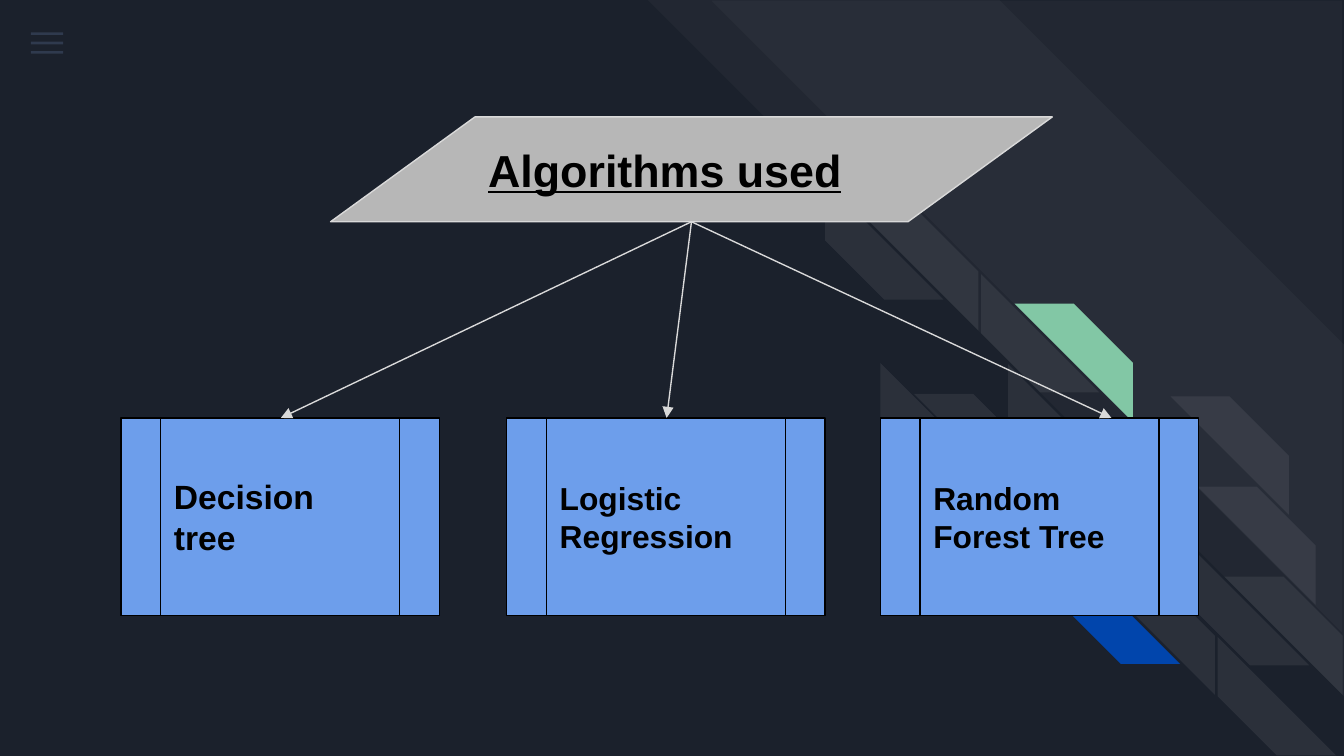
from typing import NamedTuple

from lxml.etree import SubElement
from pptx import Presentation
from pptx.dml.color import RGBColor
from pptx.enum.shapes import MSO_CONNECTOR, MSO_SHAPE
from pptx.enum.text import MSO_ANCHOR, PP_ALIGN
from pptx.oxml.ns import qn
from pptx.util import Inches, Pt

NAVY = RGBColor(0x1B, 0x21, 0x2C)
SLATE = RGBColor(0x55, 0x68, 0x8B)
WHITE = RGBColor(0xFF, 0xFF, 0xFF)
BLACK = RGBColor(0x00, 0x00, 0x00)
GREEN = RGBColor(0x82, 0xC7, 0xA5)
BLUE = RGBColor(0x01, 0x45, 0xAC)
SKY = RGBColor(0x6D, 0x9E, 0xEB)
GRAY = RGBColor(0xB7, 0xB7, 0xB7)
SILVER = RGBColor(0xD9, 0xD9, 0xD9)


class Stripe(NamedTuple):
    left: float
    top: float
    rotation: int = 0
    color: RGBColor = WHITE
    alpha: int = 7
    width: float = 0.88
    height: float = 0.88
    adjustment: float = 0.5


class Box(NamedTuple):
    left: float
    top: float
    width: float
    height: float
    kind: MSO_SHAPE
    fill: RGBColor
    line: RGBColor
    lines: tuple[str, ...]
    size: int
    underline: bool = False


class Algorithm(NamedTuple):
    left: float
    lines: tuple[str, ...]
    size: int
    arrow_x: float


STRIPES = [
    Stripe(4.82, 0, 90, alpha=3, width=5.18, height=5.18, adjustment=0.495),
    Stripe(5.29, 0.01, 90, alpha=3, width=4.7, height=4.69, adjustment=0),
    Stripe(6.14, 1.35, 270),
    Stripe(6.4, 1.58),
    Stripe(6.55, 2.7, 270),
    Stripe(6.8, 2.93),
    Stripe(7.3, 2.04, 270),
    Stripe(7.55, 2.26, color=GREEN, alpha=100),
    Stripe(7.5, 2.71, 270),
    Stripe(8.71, 2.95),
    Stripe(8.91, 3.62),
    Stripe(7.71, 3.39, 270),
    Stripe(7.96, 3.61),
    Stripe(7.9, 4.06, 270, BLUE, 100),
    Stripe(8.16, 4.29),
    Stripe(8.86, 4.07, 270),
    Stripe(9.11, 4.29),
    Stripe(9.06, 4.74, 270),
]
ALGORITHMS = [
    Algorithm(0.9, ("Decision", "tree"), 18, 2.09),
    Algorithm(3.77, ("Logistic Regression",), 17, 4.96),
    Algorithm(6.55, ("Random Forest Tree",), 17, 8.27),
]
TITLE = Box(2.46, 0.87, 5.37, 0.78, MSO_SHAPE.FLOWCHART_DATA, GRAY, SILVER,
            ("Algorithms used",), 24, True)
BOX_TOP = 3.11


def add_filled(s, kind, left: float, top: float, width: float, height: float,
               color: RGBColor, alpha: int = 100):
    sp = s.shapes.add_shape(kind, Inches(left), Inches(top), Inches(width), Inches(height))
    sp.shadow.inherit = False
    sp.fill.solid()
    sp.fill.fore_color.rgb = color
    sp.line.fill.background()
    if alpha < 100:
        clr = sp._element.spPr.find(f"{qn('a:solidFill')}/{qn('a:srgbClr')}")
        SubElement(clr, qn("a:alpha")).set("val", str(alpha * 1000))
    return sp


def add_stripe(s, stripe: Stripe) -> None:
    sp = add_filled(s, MSO_SHAPE.DIAGONAL_STRIPE, stripe.left, stripe.top,
                    stripe.width, stripe.height, stripe.color, stripe.alpha)
    sp.adjustments[0] = stripe.adjustment
    if stripe.rotation:
        sp.rotation = stripe.rotation
    else:
        sp._element.spPr.find(qn("a:xfrm")).set("flipH", "1")


def add_box(s, box: Box) -> None:
    sp = add_filled(s, box.kind, box.left, box.top, box.width, box.height, box.fill)
    sp.line.color.rgb = box.line
    sp.line.width = Pt(0.75)
    tf = sp.text_frame
    tf.word_wrap = True
    tf.vertical_anchor = MSO_ANCHOR.MIDDLE
    tf.margin_left = tf.margin_right = tf.margin_top = tf.margin_bottom = Inches(0.1)
    for i, text in enumerate(box.lines):
        p = tf.add_paragraph() if i else tf.paragraphs[0]
        p.alignment = PP_ALIGN.LEFT
        r = p.add_run()
        r.text = text
        r.font.name = "Arial"
        r.font.size = Pt(box.size)
        r.font.bold = True
        r.font.underline = box.underline
        r.font.color.rgb = BLACK


def add_arrow(s, x1: float, y1: float, x2: float, y2: float) -> None:
    c = s.shapes.add_connector(MSO_CONNECTOR.STRAIGHT, Inches(x1), Inches(y1),
                               Inches(x2), Inches(y2))
    c.line.color.rgb = SILVER
    c.line.width = Pt(0.75)
    SubElement(c.line._get_or_add_ln(), qn("a:tailEnd")).set("type", "triangle")
    SubElement(c._element.spPr, qn("a:effectLst"))


def main() -> None:
    prs = Presentation()
    prs.slide_width = Inches(10)
    prs.slide_height = Inches(10 * 9 / 16)
    s = prs.slides.add_slide(prs.slide_layouts[6])
    s.background.fill.solid()
    s.background.fill.fore_color.rgb = NAVY

    for i in range(3):
        add_filled(s, MSO_SHAPE.RECTANGLE, 0.23, 0.24 + 0.07 * i, 0.24, 0.02, SLATE, 36)
    for stripe in STRIPES:
        add_stripe(s, stripe)

    add_box(s, TITLE)
    for a in ALGORITHMS:
        add_box(s, Box(a.left, BOX_TOP, 2.37, 1.47, MSO_SHAPE.FLOWCHART_PREDEFINED_PROCESS,
                       SKY, BLACK, a.lines, a.size))
    for a in ALGORITHMS:
        add_arrow(s, TITLE.left + TITLE.width / 2, TITLE.top + TITLE.height,
                  a.arrow_x, BOX_TOP)
    prs.save("out.pptx")


if __name__ == "__main__":
    main()
